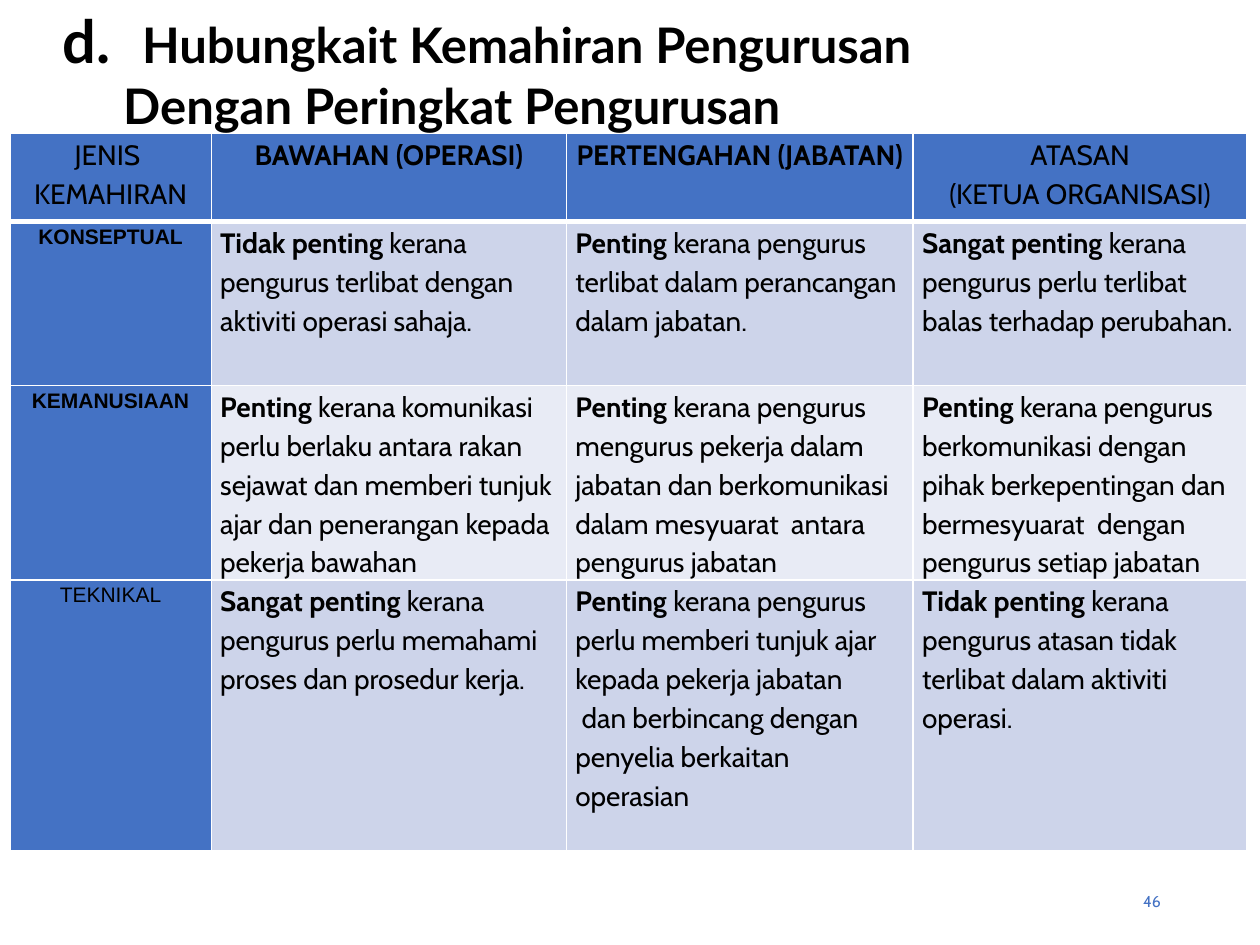
"""Build the slide that relates management skills to management levels."""
from lxml import etree
from pptx import Presentation
from pptx.dml.color import RGBColor
from pptx.enum import text
from pptx.oxml import ns
from pptx.util import Cm, Pt

COLOURS = {"black": "000000", "blue": "4472C4", "white": "FFFFFF",
           "dark band": "CDD4EA", "light band": "E8EBF5"}
HEADING = [
    ([("d.\t", 34), ("Hubungkait Kemahiran Pengurusan", 28)], 2.08, -1.6),
    ([("Dengan Peringkat Pengurusan", 28)], 1.7, 0),
]
PAGE = "46"
COLUMN_WIDTHS = [4.06, 7.16, 6.99, 6.73]
ROW_HEIGHTS = [1.78, 3.3, 3.89, 5.46]
SKILLS = [
    [("", "JENIS \nKEMAHIRAN"), ("BAWAHAN (OPERASI)", ""),
     ("PERTENGAHAN (JABATAN)", ""), ("", "ATASAN\n(KETUA ORGANISASI)")],
    [("KONSEPTUAL", ""),
     ("Tidak penting", " kerana pengurus terlibat dengan aktiviti operasi sahaja."),
     ("Penting", " kerana pengurus terlibat dalam perancangan dalam jabatan."),
     ("Sangat penting", " kerana pengurus perlu terlibat balas terhadap perubahan.")],
    [("KEMANUSIAAN", ""),
     ("Penting", " kerana komunikasi perlu berlaku antara rakan sejawat dan "
                 "memberi tunjuk ajar dan penerangan kepada pekerja bawahan"),
     ("Penting", " kerana pengurus mengurus pekerja dalam jabatan dan "
                 "berkomunikasi dalam mesyuarat  antara pengurus jabatan"),
     ("Penting", " kerana pengurus berkomunikasi dengan pihak berkepentingan "
                 "dan bermesyuarat  dengan pengurus setiap jabatan")],
    [("", "TEKNIKAL"),
     ("Sangat penting", " kerana pengurus perlu memahami proses dan prosedur kerja."),
     ("Penting", " kerana pengurus perlu memberi tunjuk ajar\nkepada pekerja jabatan\n"
                 " dan berbincang dengan penyelia berkaitan operasian"),
     ("Tidak penting ", "kerana pengurus atasan tidak terlibat dalam aktiviti operasi.")],
]


def colour(name):
    return RGBColor.from_string(COLOURS[name])


def add_words(paragraph, words, face, size, bold, shade="black"):
    run = paragraph.add_run()
    run.text = words
    run.font.name, run.font.size, run.font.bold = face, Pt(size), bold
    run.font.color.rgb = colour(shade)


def add_border(cell, side, points):
    edge = etree.SubElement(cell._tc.get_or_add_tcPr(), ns.qn(f"a:ln{side}"),
                            w=str(Pt(points)))
    fill = etree.SubElement(edge, ns.qn("a:solidFill"))
    etree.SubElement(fill, ns.qn("a:srgbClr"), val=COLOURS["white"])


def fill_heading(heading):
    heading.left, heading.top, heading.width, heading.height = (
        Cm(0.53), Cm(-0.05), Cm(22.48), Cm(2.9))
    frame = heading.text_frame
    frame.word_wrap = True
    frame.auto_size = text.MSO_AUTO_SIZE.NONE
    frame.vertical_anchor = text.MSO_ANCHOR.TOP
    for number, (parts, margin, indent) in enumerate(HEADING):
        line = frame.add_paragraph() if number else frame.paragraphs[0]
        line.alignment = text.PP_ALIGN.LEFT
        properties = line._p.get_or_add_pPr()
        properties.set("marL", str(Cm(margin)))
        properties.set("indent", str(Cm(indent)))
        for words, size in parts:
            add_words(line, words, "Lato", size, True)


def fill_cell(cell, row, column, lead, rest):
    header, label = row == 0, column == 0
    for side in "LRTB":
        thick = header and side == "B" or row == 1 and side == "T"
        add_border(cell, side, 3 if thick else 1)
    cell.fill.solid()
    band = "dark band" if row % 2 else "light band"
    cell.fill.fore_color.rgb = colour("blue" if header or label else band)
    cell.margin_left = cell.margin_right = Cm(0.18)
    cell.margin_top = cell.margin_bottom = 0
    face, size = ("Arial", 12) if label and not header else ("Cabin", 16)
    for number, words in enumerate(rest.split("\n")):
        frame = cell.text_frame
        line = frame.add_paragraph() if number else frame.paragraphs[0]
        line.line_spacing = 1.15
        line.alignment = (text.PP_ALIGN.CENTER if header or label
                          else text.PP_ALIGN.LEFT)
        if lead and not number:
            add_words(line, lead, face, size, True)
        if words:
            add_words(line, words, face, size, False)


def add_skills(slide):
    skills = slide.shapes.add_table(
        len(SKILLS), len(COLUMN_WIDTHS), Cm(0.2), Cm(2.69),
        Cm(sum(COLUMN_WIDTHS)), Cm(sum(ROW_HEIGHTS))).table
    skills.first_row = skills.horz_banding = False
    for column, width in zip(skills.columns, COLUMN_WIDTHS):
        column.width = Cm(width)
    for row, height in zip(skills.rows, ROW_HEIGHTS):
        row.height = Cm(height)
    for row, entries in enumerate(SKILLS):
        for column, (lead, rest) in enumerate(entries):
            fill_cell(skills.cell(row, column), row, column, lead, rest)


def add_page(slide):
    page = slide.shapes.add_textbox(Cm(17.93), Cm(17.65), Cm(5.72), Cm(1.02)).text_frame
    page.word_wrap = True
    page.vertical_anchor = text.MSO_ANCHOR.MIDDLE
    page.paragraphs[0].alignment = text.PP_ALIGN.RIGHT
    add_words(page.paragraphs[0], PAGE, "Cabin", 9, False, "blue")


def main():
    deck = Presentation()
    deck.slide_width, deck.slide_height = Cm(25.4), Cm(19.05)
    slide = deck.slides.add_slide(deck.slide_layouts[5])
    fill_heading(slide.shapes.title)
    add_skills(slide)
    add_page(slide)
    deck.save("out.pptx")


if __name__ == "__main__":
    main()
